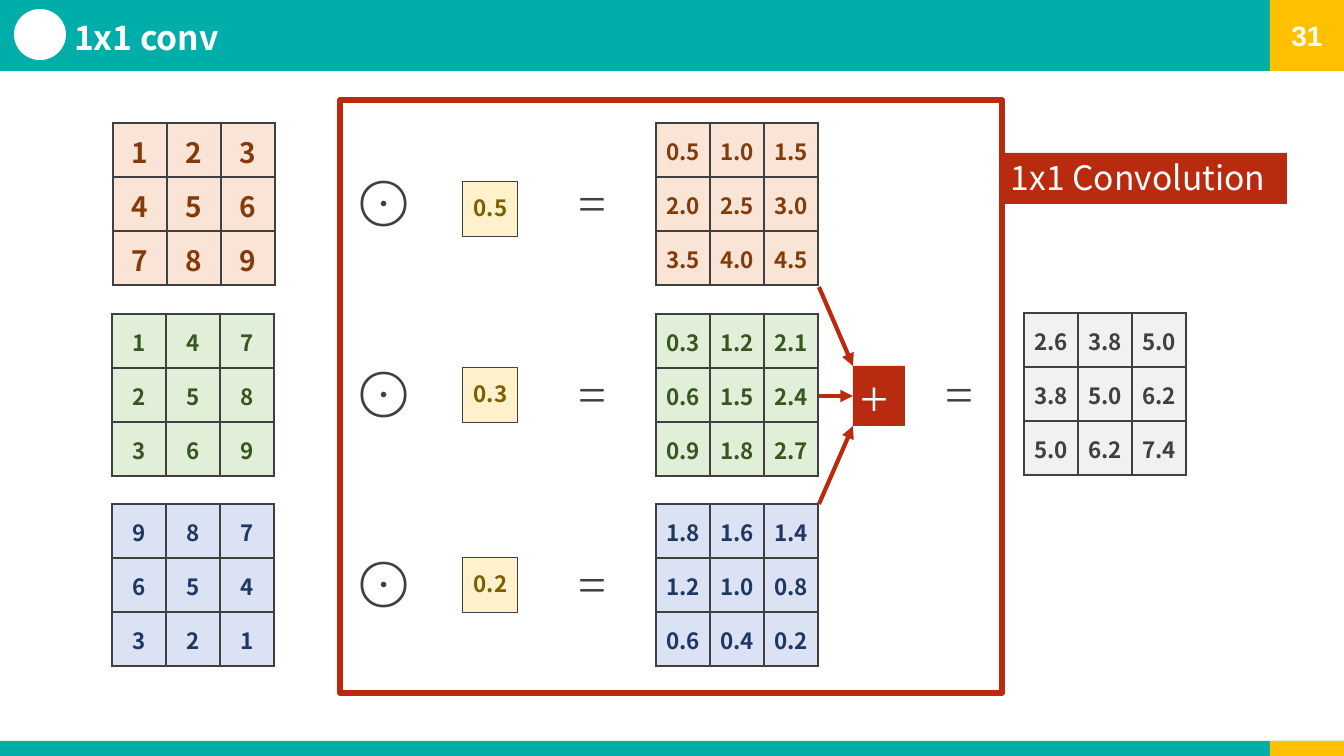
"""Build the 1x1 convolution slide."""
import pptx
import pptx.dml.color
import pptx.enum.shapes
import pptx.enum.text
import pptx.oxml
import pptx.oxml.ns
import pptx.util

PX = 9071
SANS, SERIF = "Noto Sans CJK SC", "Times New Roman"
HUES = {
    "teal": "00AEA9", "gold": "FFC000", "white": "FFFFFF", "red": "B82B0E", "dark": "404040",
    "peach": "FAE4D5", "brown": "843B0C", "mint": "E1EFD9", "green": "385622",
    "sky": "DAE2F3", "navy": "1F3863", "cream": "FFF1CC", "olive": "7E5F00", "gray": "F1F1F1",
}
RGB = {name: pptx.dml.color.RGBColor.from_string(code) for name, code in HUES.items()}
KIND = pptx.enum.shapes.MSO_SHAPE
ALIGN = pptx.enum.text.PP_ALIGN
ANCHOR = pptx.enum.text.MSO_ANCHOR

deck = pptx.Presentation()
deck.slide_width, deck.slide_height = 1344 * PX, 756 * PX
slide = deck.slides.add_slide(deck.slide_layouts[6])
shapes = slide.shapes


def block(box, text="", size=24, ink="white", font=SANS, fill=None, line=None, width=1,
          bold=False, align=ALIGN.LEFT, anchor=ANCHOR.TOP, left=0, top=0, kind=KIND.RECTANGLE):
    place = [n * PX for n in box]
    if fill or line:
        shape = shapes.add_shape(kind, *place)
        shape.shadow.inherit = False
    else:
        shape = shapes.add_textbox(*place)
    if fill:
        shape.fill.solid()
        shape.fill.fore_color.rgb = RGB[fill]
    else:
        shape.fill.background()
    if line:
        shape.line.color.rgb = RGB[line]
        shape.line.width = pptx.util.Pt(width)
    else:
        shape.line.fill.background()
    if text:
        frame = shape.text_frame
        frame.word_wrap = True
        frame.vertical_anchor = anchor
        frame.margin_left, frame.margin_top = left * PX, top * PX
        frame.margin_right = frame.margin_bottom = 0
        para = frame.paragraphs[0]
        para.text, para.alignment = text, align
        para.font.size, para.font.name, para.font.bold = pptx.util.Pt(size), font, bold
        para.font.color.rgb = RGB[ink]
    return shape


def grid(x, y, vals, fill, ink, size=16, top=12):
    table = shapes.add_table(3, 3, x * PX, y * PX, 162 * PX, 162 * PX).table
    table.first_row = table.horz_banding = False
    for i in range(3):
        table.columns[i].width = table.rows[i].height = 54 * PX
    for cell, val in zip(table.iter_cells(), vals):
        cell.fill.solid()
        cell.fill.fore_color.rgb = RGB[fill]
        cell.margin_left = cell.margin_right = cell.margin_bottom = 0
        cell.margin_top = top * PX
        para = cell.text_frame.paragraphs[0]
        para.text, para.alignment = val, ALIGN.CENTER
        para.font.size, para.font.name, para.font.bold = pptx.util.Pt(size), SANS, True
        para.font.color.rgb = RGB[ink]
        props = cell._tc.get_or_add_tcPr()
        for i, side in enumerate("LRTB"):
            props.insert(i, pptx.oxml.parse_xml(
                f'<a:ln{side} {pptx.oxml.ns.nsdecls("a")} w="12700"><a:solidFill>'
                f'<a:srgbClr val="{HUES["dark"]}"/></a:solidFill></a:ln{side}>'))


block((0, 741, 1344, 15), fill="teal")
block((1270, 741, 74, 15), fill="gold")
block((0, 0, 1344, 71), fill="teal")
block((1270, 0, 74, 71), "31", 20, font="Arial", fill="gold", bold=True,
      align=ALIGN.CENTER, anchor=ANCHOR.MIDDLE)
block((14, 9, 52, 51), fill="white", kind=KIND.OVAL)
title = block((74, 8, 963, 50), "1x1 conv", bold=True, anchor=ANCHOR.BOTTOM)
title.text_frame.paragraphs[0].line_spacing = 0.9

block((340, 100, 662, 593), line="red", width=3.96)
block((1004, 153, 283, 51), "1x1 Convolution", fill="red", left=7, top=4)

bands = [
    (123, 182, 0.5, "123456789", "peach", "brown", 113, 20, 8),
    (314, 368, 0.3, "147258369", "mint", "green", 112, 16, 12),
    (504, 558, 0.2, "987654321", "sky", "navy", 112, 16, 12),
]
sums = [0] * 9
for y, mid, weight, input, fill, ink, x, size, top in bands:
    prods = [weight * int(n) for n in input]
    sums = [a + b for a, b in zip(sums, prods)]
    grid(x, y, input, fill, ink, size, top)
    block((358, y + 47, 46, 64), "⨀", 36, "dark", SERIF, left=1, top=1)
    block((463, mid, 55, 55), f"{weight}", 16, "olive", fill="cream", line="dark",
          width=0.75, bold=True, align=ALIGN.CENTER, top=12)
    block((577, y + 47, 40, 64), "=", 36, "dark", SERIF, left=1, top=1)
    grid(656, y, [f"{n:.1f}" for n in prods], fill, ink)

plus = block((853, 366, 52, 60), "+", 36, font=SERIF, fill="red", left=7)
for start, end in [(287, 366), (396, 396), (504, 426)]:
    arrow = shapes.add_connector(pptx.enum.shapes.MSO_CONNECTOR.STRAIGHT,
                                 819 * PX, start * PX, 853 * PX, end * PX)
    if start == end:
        arrow.end_connect(plus, 1)
    arrow.line.color.rgb = RGB["red"]
    arrow.line.width = pptx.util.Pt(3)
    pptx.oxml.ns.qn("a:tailEnd")
    arrow.line._get_or_add_ln().append(pptx.oxml.parse_xml(
        f'<a:tailEnd {pptx.oxml.ns.nsdecls("a")} type="triangle"/>'))
    arrow._element.spPr.append(pptx.oxml.parse_xml(
        f'<a:effectLst {pptx.oxml.ns.nsdecls("a")}/>'))

block((944, 361, 40, 64), "=", 36, "dark", SERIF, left=1, top=1)
grid(1024, 313, [f"{n:.1f}" for n in sums], "gray", "dark")

deck.save("out.pptx")
